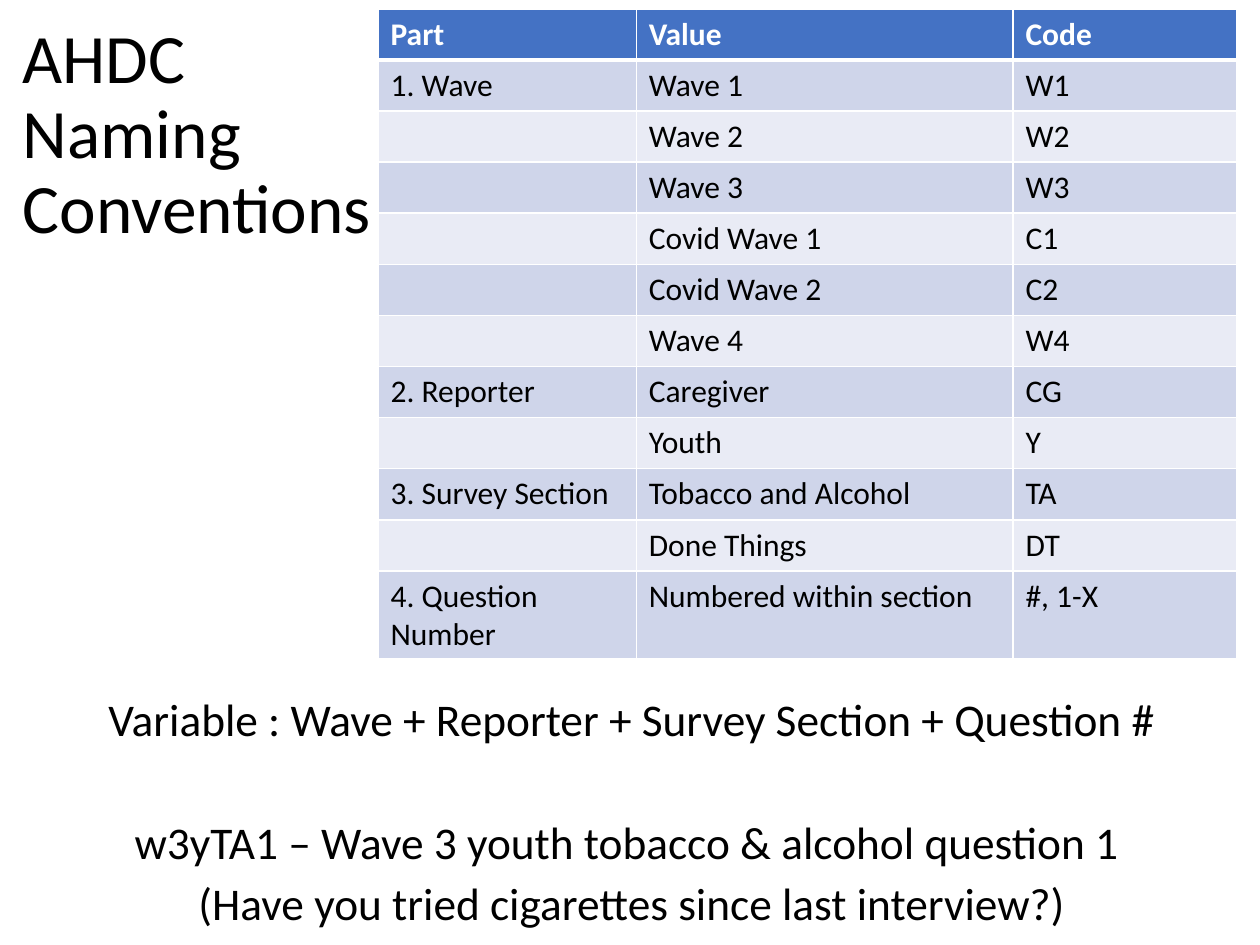
from lxml.etree import SubElement
from pptx import Presentation
from pptx.dml.color import RGBColor
from pptx.enum.text import MSO_ANCHOR as Anchor, PP_ALIGN as Align
from pptx.oxml.ns import qn
from pptx.util import Inches, Pt

CONVENTIONS = [
    ("Part", "Value", "Code"),
    ("1. Wave", "Wave 1", "W1"),
    ("", "Wave 2", "W2"),
    ("", "Wave 3", "W3"),
    ("", "Covid Wave 1", "C1"),
    ("", "Covid Wave 2", "C2"),
    ("", "Wave 4", "W4"),
    ("2. Reporter", "Caregiver", "CG"),
    ("", "Youth", "Y"),
    ("3. Survey Section", "Tobacco and Alcohol", "TA"),
    ("", "Done Things", "DT"),
    ("4. Question Number", "Numbered within section", "#, 1-X"),
]
EXAMPLE = [
    ("Variable : Wave + Reporter + Survey Section + Question #", 10),
    ("w3yTA1 – Wave 3 youth tobacco & alcohol question 1 ", 45.3),
    ("(Have you tried cigarettes since last interview?)", 10),
]


def color(value):
    return RGBColor.from_string(value)


def write(paragraph, text, size=18, ink="000000", bold=False, align=Align.LEFT,
          spacing=1.0, before=0):
    paragraph.alignment = align
    paragraph.line_spacing = spacing
    paragraph.space_before = Pt(before)
    paragraph.font.size = Pt(size)
    if text:
        run = paragraph.add_run()
        run.text = text
        run.font.name = "Calibri"
        run.font.size = Pt(size)
        run.font.bold = bold
        run.font.color.rgb = color(ink)


def add_border(cell, side, width, ink="FFFFFF"):
    line = SubElement(cell._tc.get_or_add_tcPr(), qn(f"a:ln{side}"), w=str(Pt(width)))
    fill = SubElement(line, qn("a:solidFill"))
    SubElement(fill, qn("a:srgbClr"), val=ink)


class SlideBuilder:
    header_fill = "4472C4"
    band_fills = ("E9EBF5", "CFD5EA")

    def __init__(self, slide):
        self.slide = slide

    def title(self, text, left, top, width, height):
        heading = self.slide.shapes.title
        heading.left, heading.top = Inches(left), Inches(top)
        heading.width, heading.height = Inches(width), Inches(height)
        frame = heading.text_frame
        frame.word_wrap = True
        frame.vertical_anchor = Anchor.MIDDLE
        write(frame.paragraphs[0], text, size=39.6, spacing=0.9)

    def text(self, lines, left, top, width, height):
        frame = self.slide.shapes.add_textbox(
            Inches(left), Inches(top), Inches(width), Inches(height)).text_frame
        frame.word_wrap = True
        for index, (line, before) in enumerate(lines):
            paragraph = frame.add_paragraph() if index else frame.paragraphs[0]
            write(paragraph, line, size=25.9, align=Align.CENTER,
                  spacing=0.8, before=before)

    def table(self, rows, widths, left, top, height):
        grid = self.slide.shapes.add_table(
            len(rows), len(widths), Inches(left), Inches(top),
            Inches(sum(widths)), Inches(height)).table
        for column, width in zip(grid.columns, widths):
            column.width = Inches(width)
        for row_index, row in enumerate(rows):
            is_header = row_index == 0
            borders = {"L": 1, "R": 1, "T": 3 if row_index == 1 else 1,
                       "B": 3 if is_header else 1}
            for column_index, text in enumerate(row):
                cell = grid.cell(row_index, column_index)
                for side, width in borders.items():
                    add_border(cell, side, width)
                cell.fill.solid()
                cell.fill.fore_color.rgb = color(
                    self.header_fill if is_header else self.band_fills[row_index % 2])
                write(cell.text_frame.paragraphs[0], text, bold=is_header,
                      ink="FFFFFF" if is_header else "000000")


def main():
    deck = Presentation()
    deck.slide_width, deck.slide_height = Inches(10), Inches(7.5)
    builder = SlideBuilder(deck.slides.add_slide(deck.slide_layouts[5]))
    builder.title("AHDC Naming Conventions", 0.08, 0.05, 3.08, 2.06)
    builder.text(EXAMPLE, 0.03, 5.52, 9.97, 1.91)
    builder.table(CONVENTIONS, (2.05, 2.99, 1.78), 3, 0.07, 4.87)
    deck.save("out.pptx")


if __name__ == "__main__":
    main()
